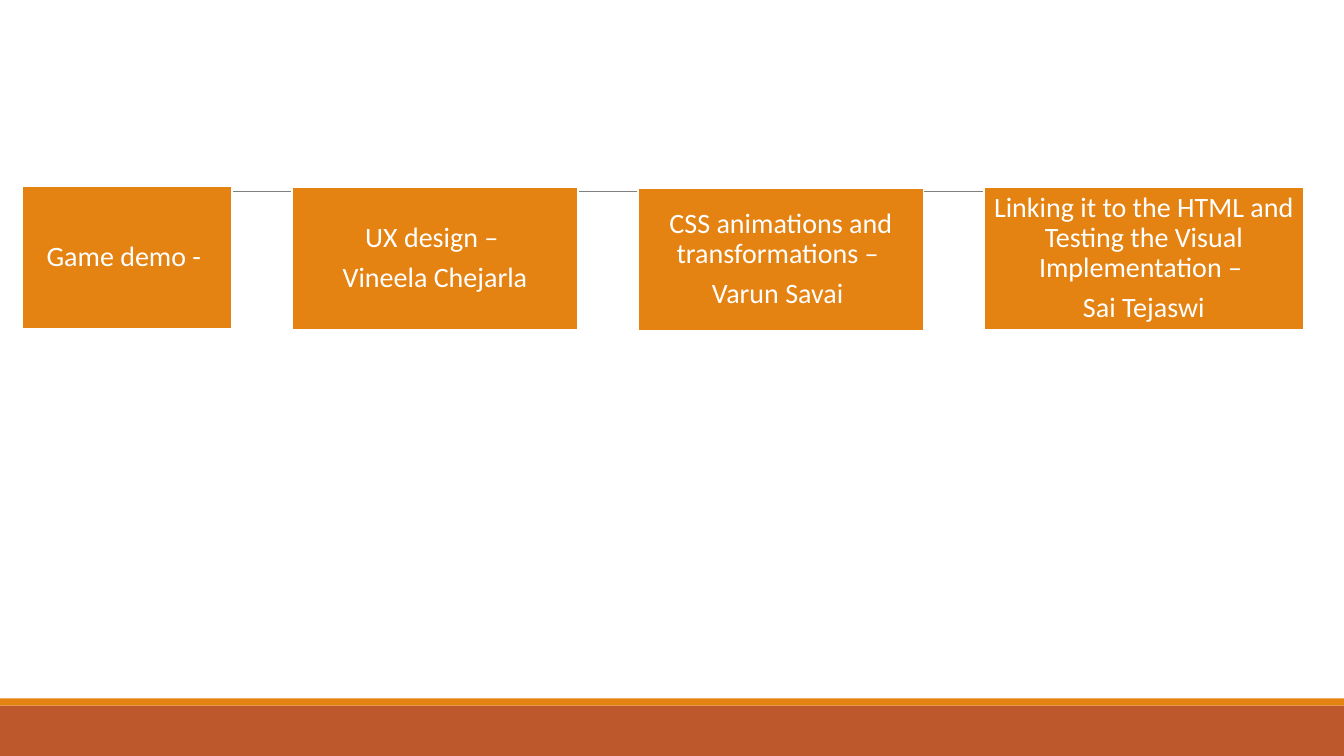
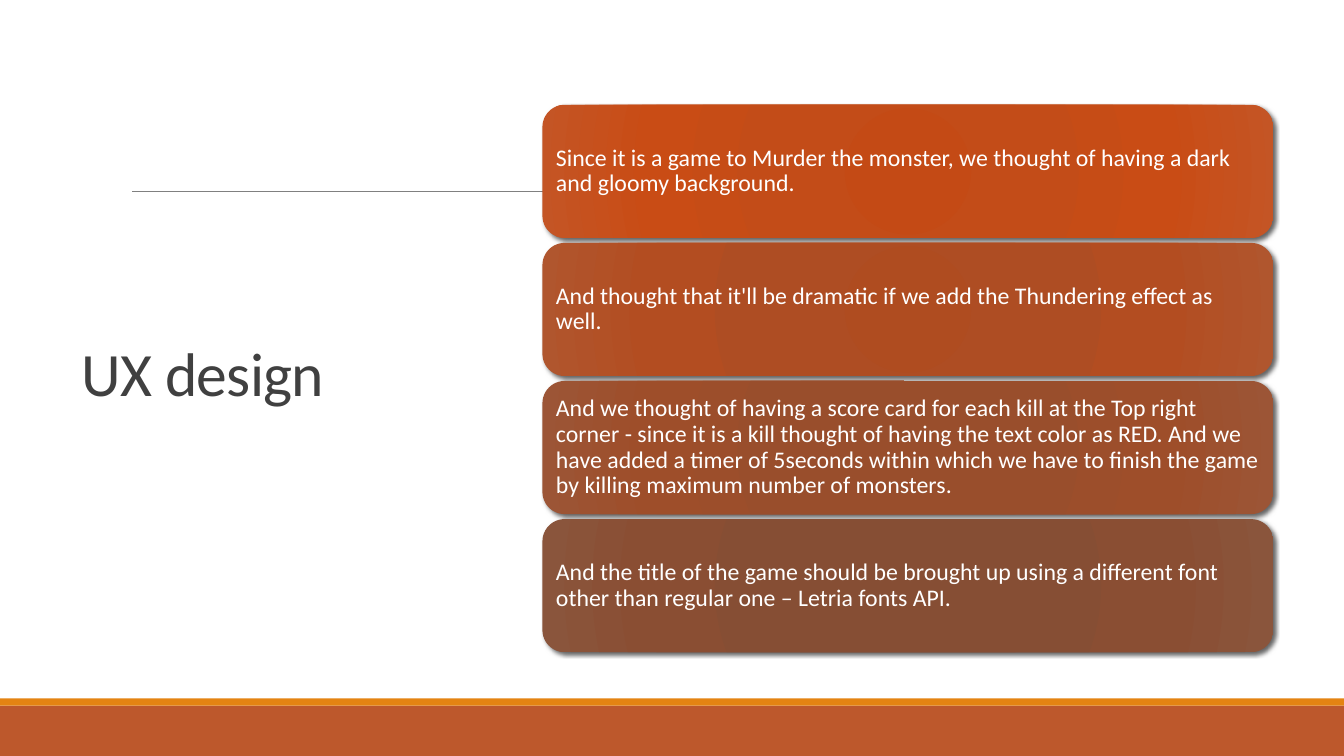
from pptx import Presentation
from pptx.dml.color import RGBColor as Rgb
from pptx.enum.shapes import MSO_CONNECTOR as Conn, MSO_SHAPE as Kind
from pptx.enum.text import MSO_ANCHOR as Anchor, MSO_AUTO_SIZE as Auto, PP_ALIGN as Align
from pptx.oxml import parse_xml
from pptx.oxml.ns import nsdecls, qn
from pptx.util import Inches, Pt

HUES = {"rust": "BD582C", "amber": "E48312", "rule": "808080",
        "white": "FFFFFF", "dark": "404040", "black": "000000"}
FONT = "Calibri"

TASKS = [
    (1.85, 2.08, ["Game demo - "]),
    (1.86, 2.83, ["UX design – ", "Vineela Chejarla"]),
    (1.87, 2.83, ["CSS animations and transformations – ", "Varun Savai "]),
    (1.86, 3.17, ["Linking it to the HTML and Testing the Visual Implementation – ",
                  "Sai Tejaswi"]),
]
TITLE = "UX design"
STOPS = (0, 34, 70, 100)
IDEAS = [
    ("Since it is a game to Murder the monster, we thought of having a dark "
     "and gloomy background.",
     ("C44A15", "C34C18", "C94C15", "C45525")),
    ("And thought that it'll be dramatic if we add the Thundering effect as well.",
     ("AF4C20", "AE4D23", "B34D21", "B0562E")),
    ("And we thought of having a score card for each kill at the Top right corner - "
     "since it is a kill thought of having the text color as RED. And we have added "
     "a timer of 5seconds within which we have to finish the game by killing maximum "
     "number of monsters.",
     ("9A4C29", "994E2C", "9E4E2A", "9C5536")),
    ("And the title of the game should be brought up using a different font other "
     "than regular one – Letria fonts API.",
     ("874C32", "864E34", "8A4E33", "8A553C")),
]


def write(shape, paras, size=20, hue="white", align=Align.LEFT, lead=0.9,
          after=0, inset=None, track=0):
    frame = shape.text_frame
    frame.word_wrap = True
    frame.auto_size = Auto.NONE
    frame.vertical_anchor = Anchor.MIDDLE
    if inset is not None:
        frame.margin_left = frame.margin_right = Inches(inset)
        frame.margin_top = frame.margin_bottom = Inches(inset)
    for i, text in enumerate(paras):
        para = frame.add_paragraph() if i else frame.paragraphs[0]
        para.alignment = align
        para.line_spacing = lead
        para.space_before = Pt(0)
        para.space_after = Pt(after)
        run = para.add_run()
        run.text = text
        run.font.name = FONT
        run.font.size = Pt(size)
        run.font.color.rgb = Rgb.from_string(HUES[hue])
        if track:
            run.font._element.set("spc", str(int(track * 100)))


def block(slide, box, fill=None, edge=None, kind=Kind.RECTANGLE):
    shape = slide.shapes.add_shape(kind, *map(Inches, box))
    shape.shadow.inherit = False
    if fill:
        shape.fill.solid()
        shape.fill.fore_color.rgb = Rgb.from_string(HUES[fill])
    else:
        shape.fill.background()
    if edge:
        shape.line.color.rgb = Rgb.from_string(HUES[edge])
        shape.line.width = Pt(1.25)
    else:
        shape.line.fill.background()
    return shape


def glow(shape, tones):
    stops = "".join(f'<a:gs pos="{pos * 1000}"><a:srgbClr val="{tone}"/></a:gs>'
                    for pos, tone in zip(STOPS, tones))
    grad = parse_xml(
        f'<a:gradFill {nsdecls("a")} rotWithShape="1"><a:gsLst>{stops}</a:gsLst>'
        '<a:path path="circle"><a:fillToRect l="100000" t="100000" r="100000" '
        'b="100000"/></a:path></a:gradFill>')
    props = shape._element.spPr
    props.replace(props.find(qn("a:noFill")), grad)
    props.find(qn("a:effectLst")).append(parse_xml(
        f'<a:outerShdw {nsdecls("a")} blurRad="{Pt(3)}" dist="{Pt(2)}" dir="2700000" '
        f'algn="ctr" rotWithShape="0"><a:srgbClr val="{HUES["black"]}">'
        '<a:alpha val="60000"/></a:srgbClr></a:outerShdw>'))


def start(deck, layout):
    slide = deck.slides.add_slide(deck.slide_layouts[layout])
    block(slide, (0, 7, 13.33, 0.5), "rust")
    block(slide, (0, 6.93, 13.33, 0.07), "amber")
    ends = map(Inches, (1.31, 1.9, 12.21, 1.9))
    rule = slide.shapes.add_connector(Conn.STRAIGHT, *ends)
    rule.line.color.rgb = Rgb.from_string(HUES["rule"])
    rule.line.width = Pt(0.5)
    rule._element.spPr.append(parse_xml(f'<a:effectLst {nsdecls("a")}/>'))
    return slide


def team(deck):
    slide = start(deck, 6)
    left, gap = 0.22, 0.6
    for top, width, paras in TASKS:
        shape = block(slide, (left, top, width, 1.41), "amber", "white")
        write(shape, paras, align=Align.CENTER, after=7, inset=0.01)
        left += width + gap


def design(deck):
    slide = start(deck, 5)
    title = slide.shapes.title
    title.left, title.top, title.width, title.height = map(
        Inches, (0.71, 1.51, 3.88, 4.48))
    write(title, [TITLE], size=44, hue="dark", lead=0.85, track=-0.5)
    for i, (text, tones) in enumerate(IDEAS):
        card = block(slide, (5.38, 1.04 + i * 1.37, 7.25, 1.32),
                     kind=Kind.ROUNDED_RECTANGLE)
        glow(card, tones)
        write(card, [text], size=17, after=6, inset=0.07)


def main():
    deck = Presentation()
    deck.slide_width, deck.slide_height = Inches(13.33), Inches(7.5)
    team(deck)
    design(deck)
    deck.save("out.pptx")


if __name__ == "__main__":
    main()
